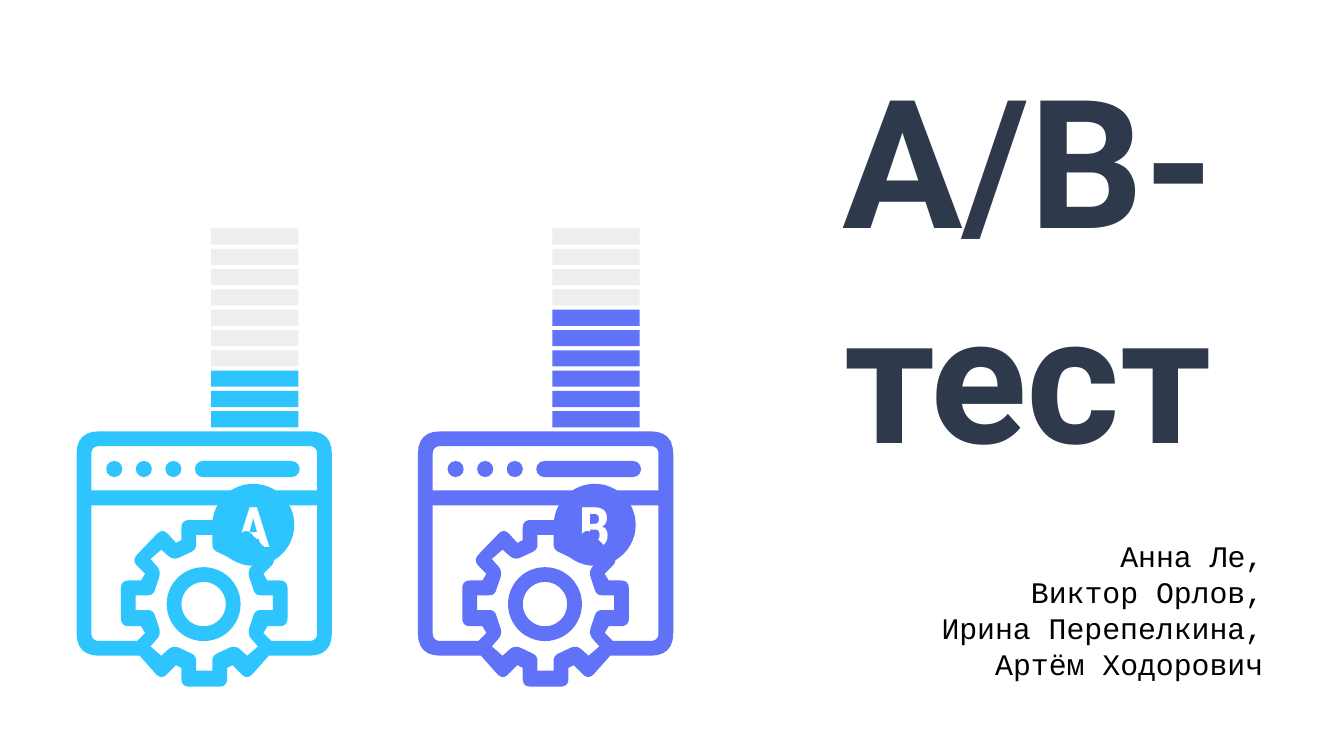
from copy import deepcopy

from pptx import Presentation
from pptx.dml.color import RGBColor
from pptx.enum.shapes import MSO_SHAPE
from pptx.enum.text import MSO_ANCHOR, MSO_AUTO_SIZE, PP_ALIGN
from pptx.oxml.ns import qn
from pptx.util import Inches, Pt

prs = Presentation()
prs.slide_width, prs.slide_height = Inches(10), Inches(5.625)
slide = prs.slides.add_slide(prs.slide_layouts[0])
shapes = slide.shapes


def paint(shape, color):
    shape.shadow.inherit = False
    shape.fill.solid()
    shape.fill.fore_color.rgb = RGBColor.from_string(color)
    shape.line.fill.background()


def add(kind, left, top, width, height, color):
    shape = shapes.add_shape(kind, Inches(left), Inches(top), Inches(width), Inches(height))
    paint(shape, color)
    return shape


def write(box, text, at, size, font, color, bold=False, align=PP_ALIGN.CENTER,
          anchor=MSO_ANCHOR.MIDDLE):
    box.left, box.top, box.width, box.height = [Inches(n) for n in at]
    frame = box.text_frame
    frame.word_wrap = True
    frame.auto_size = MSO_AUTO_SIZE.NONE
    frame.vertical_anchor = anchor
    frame.margin_left = frame.margin_right = Inches(0.1)
    frame.margin_top = frame.margin_bottom = Inches(0.1)
    line = frame.paragraphs[0]
    line.text = text
    line.alignment = align
    line.line_spacing = 1.0
    line.space_before = line.space_after = Pt(0)
    for run in line.runs:
        run.font.name, run.font.size, run.font.bold = font, Pt(size), bold
        run.font.color.rgb = RGBColor.from_string(color)
    # Line breaks take the format of the text around them
    for gap in line._p.findall(qn("a:br")):
        gap.append(deepcopy(line.runs[0]._r.rPr))


def trace(half, mid):
    """Mirror half an outline about x = mid and round its corners."""
    corners = [(mid + x, y, r) for x, y, r in half]
    corners += [(mid - x, y, r) for x, y, r in reversed(half)]
    points = []
    for i, (x, y, r) in enumerate(corners):
        if not r:
            points.append((x, y))
            continue
        ends = []
        for px, py, _ in (corners[i - 1], corners[(i + 1) % len(corners)]):
            share = r / ((px - x) ** 2 + (py - y) ** 2) ** 0.5
            ends.append((x + (px - x) * share, y + (py - y) * share))
        (ax, ay), (bx, by) = ends
        for step in range(7):
            t = step / 6
            a, c, b = (1 - t) ** 2, 2 * t * (1 - t), t ** 2
            points.append((a * ax + c * x + b * bx, a * ay + c * y + b * by))
    return [(Inches(x), Inches(y)) for x, y in points]


# Right halves of the outlines: distance from the middle, y, corner radius
outer = [(0.95, 3.21, 0.17), (0.95, 4.88, 0.17), (0.48, 4.88, 0), (0.32, 5.06, 0.06),
         (0.21, 4.95, 0), (0.17, 4.97, 0), (0.17, 5.11, 0.06)]
header = [(0.84, 3.32, 0.06), (0.84, 3.65, 0)]
body = [(0.84, 3.76, 0), (0.84, 4.77, 0.06), (0.5, 4.77, 0), (0.44, 4.71, 0),
        (0.47, 4.66, 0), (0.62, 4.66, 0.06), (0.62, 4.32, 0.06), (0.47, 4.32, 0),
        (0.44, 4.27, 0), (0.54, 4.17, 0.06), (0.31, 3.93, 0.06), (0.21, 4.04, 0),
        (0.17, 4.02, 0), (0.17, 3.87, 0.06)]
gear = [(0.06, 3.98, 0), (0.06, 4.09, 0.04), (0.23, 4.17, 0.05), (0.32, 4.09, 0),
        (0.4, 4.16, 0), (0.32, 4.25, 0.05), (0.38, 4.43, 0.04), (0.51, 4.43, 0)]
gear += [(x, 8.97 - y, r) for x, y, r in reversed(gear)]

write(shapes.title, "A/B-тест", (5.8, 0.46, 3.7, 3.02), 96, "Roboto", "2E3A4C", bold=True)
write(slide.placeholders[1], "Анна Ле,\vВиктор Орлов,\vИрина Перепелкина,\vАртём Ходорович",
      (5.8, 3.48, 3.7, 1.69), 16, "Courier New", "000000",
      align=PP_ALIGN.RIGHT, anchor=MSO_ANCHOR.BOTTOM)

for name, mid, color, level in (("A", 1.52, "2EC5FF", 3), ("B", 4.06, "5F72F8", 6)):
    add(MSO_SHAPE.OVAL, mid + 0.06, 3.6, 0.61, 0.61, color)
    write(shapes.add_textbox(0, 0, 0, 0), name, (mid + 0.1, 3.7, 0.53, 0.41), 30,
          "Roboto Condensed", "FFFFFF", bold=True)

    first, *rest = trace(outer, mid)
    pen = shapes.build_freeform(*first)
    pen.add_line_segments(rest)
    for hole in (header, body, gear):
        first, *rest = trace(hole, mid)
        pen.move_to(*first)
        pen.add_line_segments(rest)
    paint(pen.convert_to_shape(), color)

    for i in range(3):
        add(MSO_SHAPE.OVAL, mid - 0.73 + 0.22 * i, 3.43, 0.12, 0.12, color)
    bar = add(MSO_SHAPE.ROUNDED_RECTANGLE, mid - 0.07, 3.43, 0.78, 0.12, color)
    bar.adjustments[0] = 0.5
    ring = add(MSO_SHAPE.DONUT, mid - 0.28, 4.22, 0.55, 0.55, color)
    ring.adjustments[0] = 0.2

    for i in range(10):
        add(MSO_SHAPE.RECTANGLE, mid + 0.05, 1.7 + 1.36 * i / 9, 0.65, 0.12,
            color if i >= 10 - level else "EEEEED")

prs.save("out.pptx")
